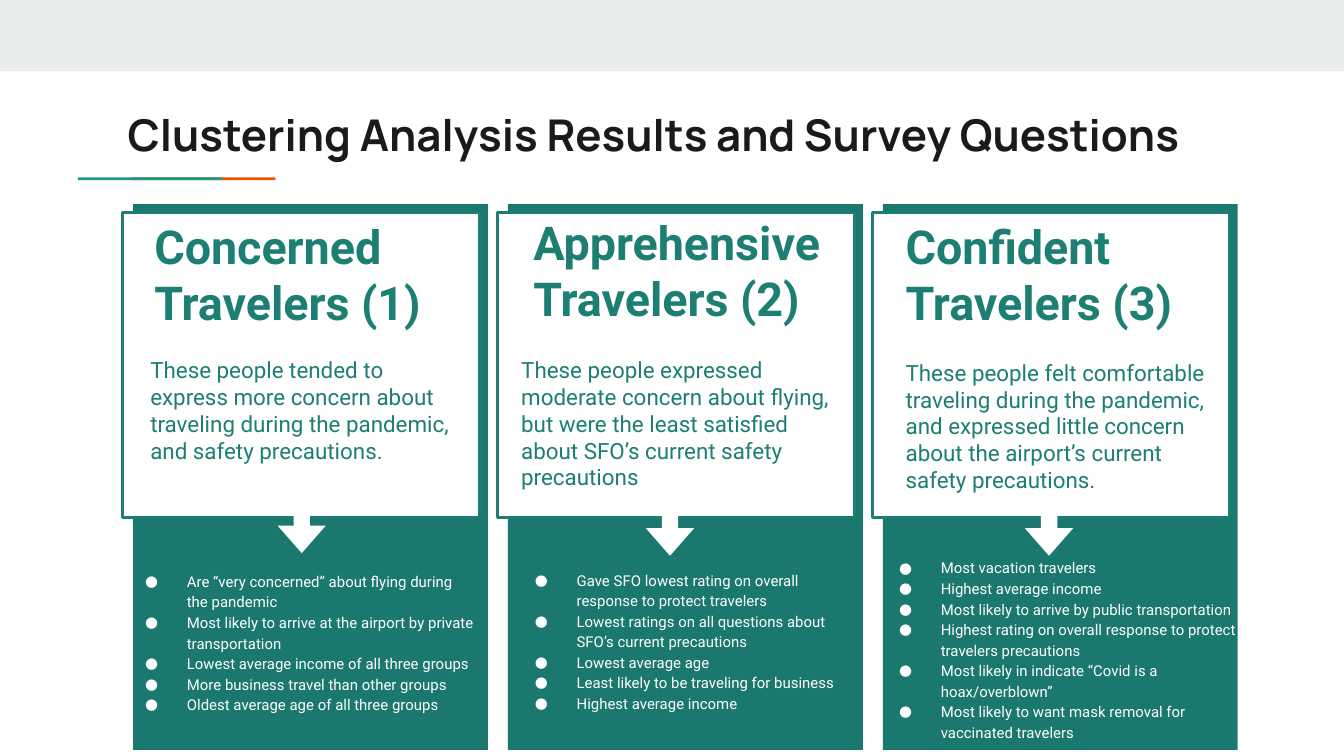
import dataclasses
import typing

import lxml.etree
import pptx
import pptx.dml.color
import pptx.enum.shapes
import pptx.enum.text
import pptx.oxml.ns
import pptx.util

Inches = pptx.util.Inches
Preset = pptx.enum.shapes.MSO_SHAPE
Box = tuple[float, float, float, float]

COLORS = {
    "band": "E9EDEE",
    "orange": "EB5600",
    "mint": "1A9988",
    "ink": "1A1A1A",
    "panel": "1B786E",
    "teal": "1D7E74",
    "white": "FFFFFF",
}
PANEL_LEFT, PANEL_PITCH = 0.99, 2.79


@dataclasses.dataclass
class Cluster:
    heading: str
    heading_box: Box
    summary: str
    summary_box: Box
    arrow_at: tuple[float, float]
    findings: list[str]
    findings_box: Box
    placeholder_index: int


CLUSTERS = [
    Cluster(
        "Concerned Travelers (1)", (1.05, 1.52, 2.46, 0.67),
        "These people tended to express more concern about traveling during the pandemic, "
        "and safety precautions.", (1.02, 2.55, 2.46, 1),
        (2.05, 3.74),
        [
            "Are “very concerned” about flying during the pandemic",
            "Most likely to arrive at the airport by private transportation",
            "Lowest average income of all three groups",
            "More business travel than other groups",
            "Oldest average age of all three groups",
        ],
        (0.79, 4.14, 2.84, 1.38), 2,
    ),
    Cluster(
        "Apprehensive\nTravelers (2)", (3.87, 1.49, 2.36, 0.67),
        "These people expressed moderate concern about flying, but were the least satisfied "
        "about SFO’s current safety precautions", (3.78, 2.55, 2.56, 0.93),
        (4.79, 3.76),
        [
            "Gave SFO lowest rating on overall response to protect travelers",
            "Lowest ratings on all questions about SFO’s current precautions",
            "Lowest average age",
            "Least likely to be traveling for business",
            "Highest average income",
        ],
        (3.69, 4.13, 2.64, 1.26), 3,
    ),
    Cluster(
        "Confident Travelers (3)", (6.64, 1.52, 2.36, 0.67),
        "These people felt comfortable traveling during the pandemic, and expressed little "
        "concern about the airport’s current safety precautions.", (6.64, 2.57, 2.5, 1.29),
        (7.61, 3.76),
        [
            "Most vacation travelers",
            "Highest average income",
            "Most likely to arrive by public transportation",
            "Highest rating on overall response to protect travelers precautions",
            "Most likely in indicate “Covid is a hoax/overblown”",
            "Most likely to want mask removal for vaccinated travelers",
        ],
        (6.4, 4.04, 3.03, 1.39), 4,
    ),
]


def rgb(name: str) -> pptx.dml.color.RGBColor:
    return pptx.dml.color.RGBColor.from_string(COLORS[name])


def add_block(slide, box: Box, fill: str, line: typing.Optional[str] = None,
              preset=Preset.RECTANGLE):
    block = slide.shapes.add_shape(preset, *map(Inches, box))
    block.shadow.inherit = False
    block.fill.solid()
    block.fill.fore_color.rgb = rgb(fill)
    if line:
        block.line.color.rgb = rgb(line)
        block.line.width = pptx.util.Pt(1.5)
    else:
        block.line.fill.background()
    return block


def add_bullet(paragraph, color: str, size: float) -> None:
    properties = paragraph._p.get_or_add_pPr()
    properties.set("marL", str(Inches(0.5)))
    properties.set("indent", str(Inches(-0.31)))
    qn = pptx.oxml.ns.qn
    bullet_color = lxml.etree.SubElement(properties, qn("a:buClr"))
    lxml.etree.SubElement(bullet_color, qn("a:srgbClr")).set("val", COLORS[color])
    lxml.etree.SubElement(properties, qn("a:buSzPts")).set("val", str(round(size * 100)))
    lxml.etree.SubElement(properties, qn("a:buFont")).set("typeface", "Roboto")
    lxml.etree.SubElement(properties, qn("a:buChar")).set("char", "●")


def write_text(slide, text: str, box: Box, *, size: float, color: str, font: str = "Roboto",
               bold: bool = False, bullets: bool = False, line_spacing: float = 1.0,
               placeholder=None) -> None:
    holder = placeholder
    if holder is None:
        holder = slide.shapes.add_textbox(*map(Inches, box))
    else:
        holder.left, holder.top, holder.width, holder.height = map(Inches, box)
        slide.shapes._spTree.append(holder._element)
    frame = holder.text_frame
    frame.word_wrap = True
    frame.auto_size = pptx.enum.text.MSO_AUTO_SIZE.NONE
    frame.vertical_anchor = pptx.enum.text.MSO_ANCHOR.TOP
    frame.margin_left = frame.margin_right = Inches(0.1)
    frame.margin_top = frame.margin_bottom = Inches(0.1)
    frame.text = text
    for paragraph in frame.paragraphs:
        paragraph.alignment = pptx.enum.text.PP_ALIGN.LEFT
        paragraph.line_spacing = line_spacing
        paragraph.space_before = paragraph.space_after = pptx.util.Pt(0)
        if bullets:
            add_bullet(paragraph, color, size)
        for run in paragraph.runs:
            run.font.name = font
            run.font.size = pptx.util.Pt(size)
            run.font.bold = bold
            run.font.color.rgb = rgb(color)


def draw_cluster(slide, cluster: Cluster, panel_left: float, findings_holder) -> None:
    add_block(slide, (panel_left, 1.52, 2.64, 4.06), "panel")
    add_block(slide, (panel_left - 0.08, 1.58, 2.66, 2.27), "white", "teal")
    write_text(slide, cluster.summary, cluster.summary_box, size=12, color="teal")
    write_text(slide, cluster.heading, cluster.heading_box, size=25, color="teal", bold=True)
    arrow = add_block(slide, (*cluster.arrow_at, 0.39, 0.36), "white",
                      preset=Preset.RIGHT_ARROW)
    arrow.rotation = 90
    arrow.adjustments[0], arrow.adjustments[1] = 0.34, 0.57
    write_text(slide, "\n".join(cluster.findings), cluster.findings_box, size=8, color="white",
               bullets=True, line_spacing=1.15, placeholder=findings_holder)


def main() -> None:
    deck = pptx.Presentation()
    deck.slide_width = Inches(10)
    deck.slide_height = deck.slide_width * 9 // 16
    slide = deck.slides.add_slide(deck.slide_layouts.get_by_name("Comparison"))
    holders = {holder.placeholder_format.idx: holder for holder in slide.placeholders}

    add_block(slide, (0, 0, 10, 0.53), "band")
    add_block(slide, (0.98, 1.32, 1.07, 0.02), "orange")
    add_block(slide, (0.58, 1.32, 1.07, 0.02), "mint")
    write_text(slide, "Clustering Analysis Results and Survey Questions", (0.85, 0.7, 8.41, 0.59),
               size=23.4, color="ink", font="Manrope", bold=True, placeholder=holders[0])

    for position, cluster in enumerate(CLUSTERS):
        draw_cluster(slide, cluster, PANEL_LEFT + position * PANEL_PITCH,
                     holders[cluster.placeholder_index])

    unused = holders[1]._element
    unused.getparent().remove(unused)
    deck.save("out.pptx")


if __name__ == "__main__":
    main()
